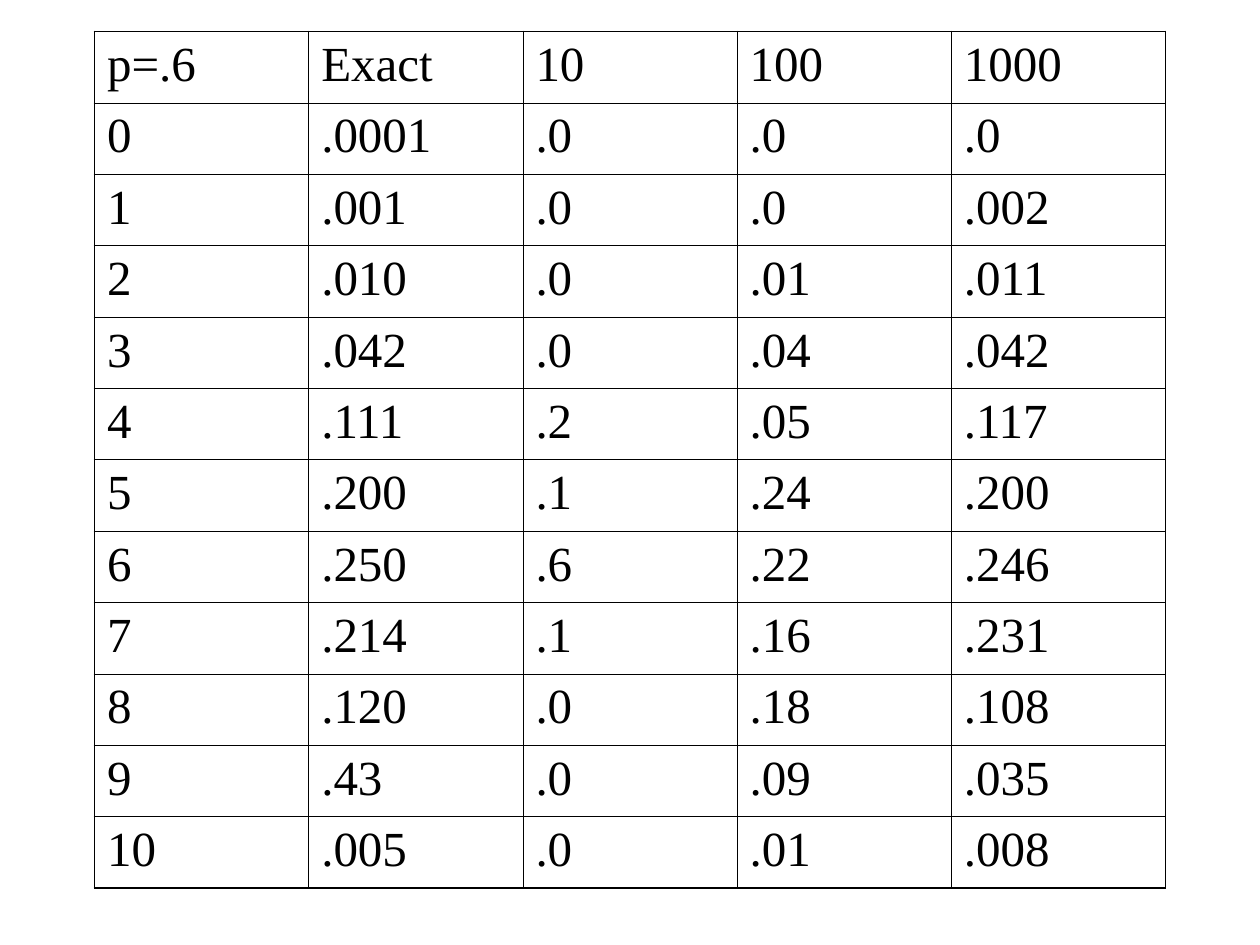
from typing import NamedTuple

from lxml import etree
from pptx import Presentation
from pptx import util as u
from pptx.dml.color import RGBColor
from pptx.oxml.ns import qn

PX = 9144  # EMU; 100 px to the inch
BLACK = RGBColor(0, 0, 0)
FONT = "Times New Roman"
FONT_SIZE = u.Pt(28)
INNER_LINE, OUTER_LINE = u.Pt(0.45), u.Pt(1.08)


class Box(NamedTuple):
    left: int
    top: int
    width: int
    height: int

    def emu(self) -> list[int]:
        return [v * PX for v in self]


class Outcome(NamedTuple):
    """Exact probability and simulated frequencies for one count."""
    count: str
    exact: str
    runs_10: str
    runs_100: str
    runs_1000: str


TABLE_BOX = Box(75, 25, 850, 680)
ROWS = [
    Outcome("p=.6", "Exact", "10", "100", "1000"),
    Outcome("0", ".0001", ".0", ".0", ".0"),
    Outcome("1", ".001", ".0", ".0", ".002"),
    Outcome("2", ".010", ".0", ".01", ".011"),
    Outcome("3", ".042", ".0", ".04", ".042"),
    Outcome("4", ".111", ".2", ".05", ".117"),
    Outcome("5", ".200", ".1", ".24", ".200"),
    Outcome("6", ".250", ".6", ".22", ".246"),
    Outcome("7", ".214", ".1", ".16", ".231"),
    Outcome("8", ".120", ".0", ".18", ".108"),
    Outcome("9", ".43", ".0", ".09", ".035"),
    Outcome("10", ".005", ".0", ".01", ".008"),
]


def set_borders(cell, outer_sides: dict[str, bool]) -> None:
    """Draw all four borders, heavier on the sides at the table's edge."""
    tc_pr = cell._tc.get_or_add_tcPr()
    for side, is_outer in outer_sides.items():
        width = OUTER_LINE if is_outer else INNER_LINE
        ln = etree.SubElement(tc_pr, qn(f"a:ln{side}"), w=str(int(width)))
        fill = etree.SubElement(ln, qn("a:solidFill"))
        etree.SubElement(fill, qn("a:srgbClr"), val=str(BLACK))


def write_cell(cell, value: str) -> None:
    cell.fill.background()
    r = cell.text_frame.paragraphs[0].add_run()
    r.text = value
    r.font.name = FONT
    r.font.size = FONT_SIZE
    r.font.color.rgb = BLACK


def add_outcome_table(s, box: Box, rows: list[Outcome]) -> None:
    last_row, last_col = len(rows) - 1, len(Outcome._fields) - 1
    table = s.shapes.add_table(last_row + 1, last_col + 1, *box.emu()).table
    table.first_row = table.horz_banding = False
    for i, row in enumerate(rows):
        for j, value in enumerate(row):
            cell = table.cell(i, j)
            set_borders(cell, {"L": j == 0, "R": j == last_col,
                               "T": i == 0, "B": i == last_row})
            write_cell(cell, value)


def main() -> None:
    prs = Presentation()
    prs.slide_width, prs.slide_height = 1000 * PX, 750 * PX
    s = prs.slides.add_slide(prs.slide_layouts[6])
    add_outcome_table(s, TABLE_BOX, ROWS)
    prs.save("out.pptx")


if __name__ == "__main__":
    main()
